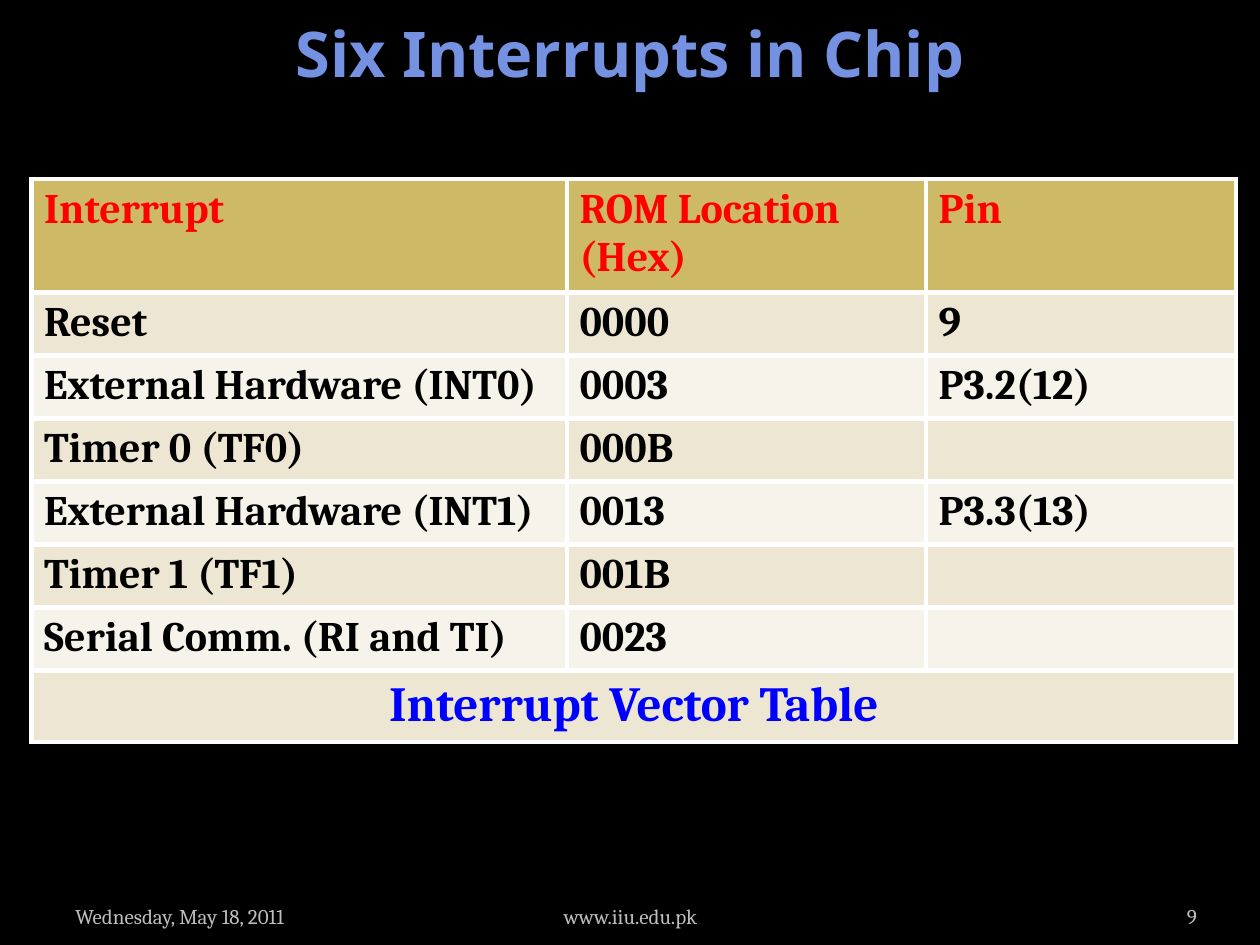
from dataclasses import dataclass

from lxml.etree import SubElement
from pptx import Presentation
from pptx.dml.color import RGBColor
from pptx.enum.text import MSO_ANCHOR as Anchor, PP_ALIGN as Align
from pptx.oxml.ns import qn
from pptx.util import Inches, Pt

BLACK = RGBColor(0x00, 0x00, 0x00)
RED = RGBColor(0xFF, 0x00, 0x00)
BLUE = RGBColor(0x00, 0x00, 0xFF)
WHITE = RGBColor(0xFF, 0xFF, 0xFF)
TITLE_BLUE = RGBColor(0x74, 0x92, 0xE1)
GRAY = RGBColor(0xBD, 0xBD, 0xBD)
GOLD = RGBColor(0xCE, 0xB9, 0x66)
SAND = RGBColor(0xED, 0xE6, 0xD3)
CREAM = RGBColor(0xF6, 0xF3, 0xEA)

WIDTH, HEIGHT = Inches(10), Inches(7.5)
BODY_FONT, TITLE_FONT = "Cambria", "Noto Sans"
COLUMNS = (4.25, 2.85, 2.46)
HEADER_ROW, BODY_ROW, CAPTION_ROW = 0.87, 0.5, 0.54
HEADINGS = ("Interrupt", "ROM Location (Hex)", "Pin")
INTERRUPTS = (
    ("Reset", "0000", "9"),
    ("External Hardware (INT0)", "0003", "P3.2(12)"),
    ("Timer 0 (TF0)", "000B", ""),
    ("External Hardware (INT1)", "0013", "P3.3(13)"),
    ("Timer 1 (TF1)", "001B", ""),
    ("Serial Comm. (RI and TI)", "0023", ""),
)
CAPTION = "Interrupt Vector Table"


@dataclass(frozen=True)
class TextStyle:
    size: int
    color: RGBColor
    bold: bool = True
    name: str = BODY_FONT
    align: Align = Align.LEFT


@dataclass(frozen=True)
class Footer:
    text: str
    left: float
    width: float
    align: Align
    inset: float = 0.1


FOOTERS = (
    Footer("Wednesday, May 18, 2011", 0.05, 0.233, Align.LEFT),
    Footer("www.iiu.edu.pk", 0.342, 0.317, Align.CENTER),
    Footer("9", 0.867, 0.083, Align.RIGHT, 0),
)


def write(tf, text: str, style: TextStyle) -> None:
    p = tf.paragraphs[0]
    p.text = text
    p.alignment = style.align
    p.font.size, p.font.bold, p.font.name = Pt(style.size), style.bold, style.name
    p.font.color.rgb = style.color


def add_title(slide, text: str) -> None:
    title = slide.shapes.title
    title.left, title.top, title.width, title.height = 0, 0, WIDTH, Inches(0.83)
    title.text_frame.vertical_anchor = Anchor.MIDDLE
    write(title.text_frame, text,
          TextStyle(36, TITLE_BLUE, name=TITLE_FONT, align=Align.CENTER))


def add_footer(slide, footer: Footer) -> None:
    sp = slide.shapes.add_textbox(int(WIDTH * footer.left), int(HEIGHT * 0.936),
                                  int(WIDTH * footer.width), Inches(0.4))
    tf = sp.text_frame
    tf.word_wrap = True
    tf.vertical_anchor = Anchor.BOTTOM
    tf.margin_left = tf.margin_right = Inches(footer.inset)
    write(tf, footer.text, TextStyle(12, GRAY, bold=False, align=footer.align))


def set_borders(cell, color: RGBColor, width: float) -> None:
    tc_pr = cell._tc.get_or_add_tcPr()
    for side in ("lnL", "lnR", "lnT", "lnB"):
        line = SubElement(tc_pr, qn(f"a:{side}"), w=str(Pt(width)))
        fill = SubElement(line, qn("a:solidFill"))
        SubElement(fill, qn("a:srgbClr"), val=str(color))


def fill_row(row, texts: tuple[str, ...], fill: RGBColor, style: TextStyle) -> None:
    for cell, text in zip(row.cells, texts):
        set_borders(cell, WHITE, 3)
        cell.fill.solid()
        cell.fill.fore_color.rgb = fill
        write(cell.text_frame, text, style)


def add_interrupt_table(slide) -> None:
    heights = (HEADER_ROW, *[BODY_ROW] * len(INTERRUPTS), CAPTION_ROW)
    table = slide.shapes.add_table(
        len(heights), len(COLUMNS), Inches(0.25), Inches(1.42),
        Inches(sum(COLUMNS)), Inches(sum(heights))).table
    for column, width in zip(table.columns, COLUMNS):
        column.width = Inches(width)
    for row, height in zip(table.rows, heights):
        row.height = Inches(height)

    header, *body, caption = table.rows
    fill_row(header, HEADINGS, GOLD, TextStyle(24, RED))
    for i, (row, texts) in enumerate(zip(body, INTERRUPTS)):
        fill_row(row, texts, CREAM if i % 2 else SAND, TextStyle(24, BLACK))
    fill_row(caption, (CAPTION, "", ""), SAND,
             TextStyle(28, BLUE, align=Align.CENTER))
    caption.cells[0].merge(caption.cells[len(COLUMNS) - 1])


def main() -> None:
    prs = Presentation()
    prs.slide_width, prs.slide_height = WIDTH, HEIGHT
    slide = prs.slides.add_slide(prs.slide_layouts[5])
    slide.background.fill.solid()
    slide.background.fill.fore_color.rgb = BLACK
    add_title(slide, "Six Interrupts in Chip")
    for footer in FOOTERS:
        add_footer(slide, footer)
    add_interrupt_table(slide)
    prs.save("out.pptx")


if __name__ == "__main__":
    main()
